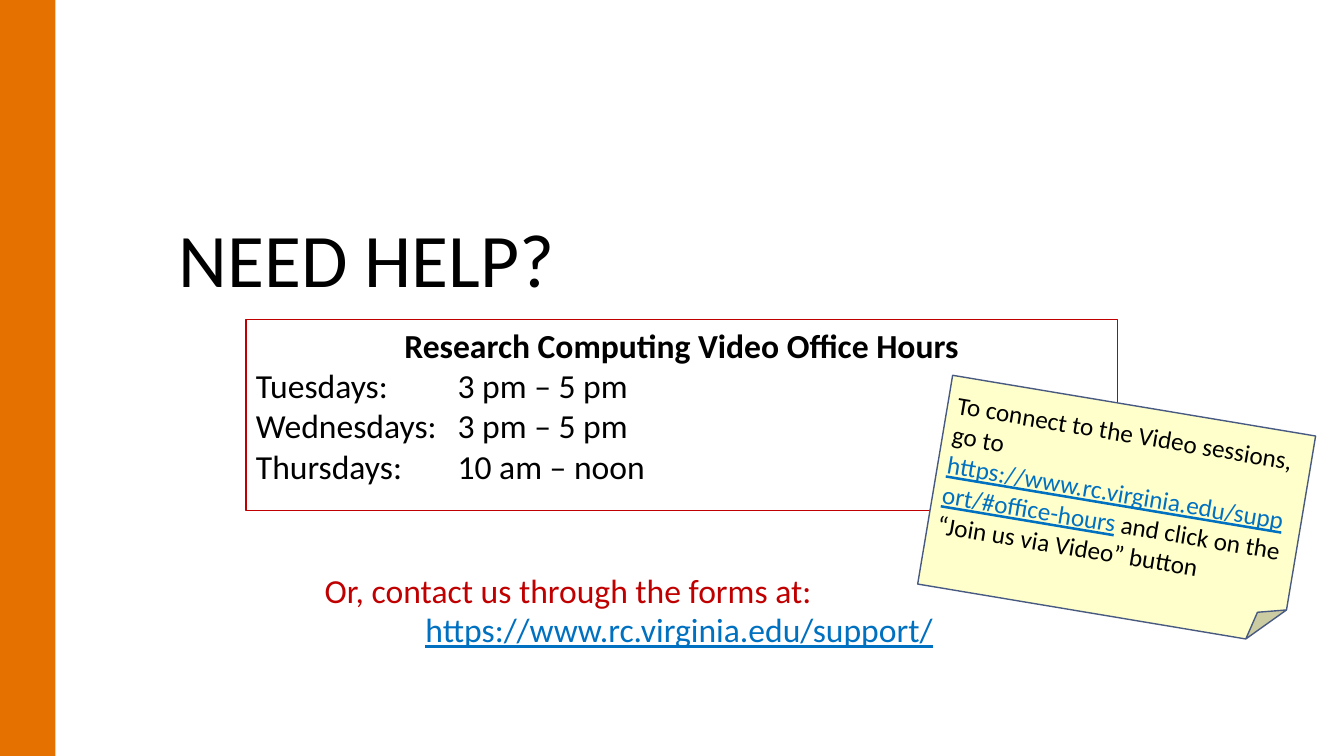
from dataclasses import dataclass

from lxml.etree import SubElement
from pptx import Presentation
from pptx.dml.color import RGBColor
from pptx.enum.shapes import MSO_SHAPE
from pptx.enum.text import MSO_ANCHOR, MSO_AUTO_SIZE, PP_ALIGN
from pptx.oxml.ns import qn
from pptx.util import Inches, Pt


@dataclass(frozen=True)
class Theme:
    """Colours, type sizes and font of the slide."""
    font: str = "Calibri"
    text: str = "000000"
    accent: str = "C00000"
    link: str = "0070C0"
    strip: str = "E47100"
    paper: str = "FFFFCC"
    paper_edge: str = "485A82"
    title_size: int = 54
    body_size: int = 24
    note_size: int = 18


THEME = Theme()
OFFICE_HOURS = [
    ("Tuesdays:", "3 pm – 5 pm"),
    ("Wednesdays:", "3 pm – 5 pm"),
    ("Thursdays:", "10 am – noon"),
]


def set_font(font, size, color, bold=False, underline=False):
    """Apply the slide's font with the given size and colour."""
    font.name = THEME.font
    font.size = Pt(size)
    font.bold = bold
    font.underline = underline
    font.color.rgb = RGBColor.from_string(color)


def add_panel(slide, preset, box, fill=None, edge=None, edge_width=0.75):
    """Add a flat preset shape with optional fill and outline."""
    panel = slide.shapes.add_shape(preset, *map(Inches, box))
    panel.shadow.inherit = False
    if fill:
        panel.fill.solid()
        panel.fill.fore_color.rgb = RGBColor.from_string(fill)
    else:
        panel.fill.background()
    if edge:
        panel.line.color.rgb = RGBColor.from_string(edge)
        panel.line.width = Pt(edge_width)
    else:
        panel.line.fill.background()
    return panel


def place(placeholder, box, anchor):
    """Move a placeholder and return its cleared text frame."""
    placeholder.left, placeholder.top, placeholder.width, placeholder.height = map(Inches, box)
    frame = placeholder.text_frame
    frame.auto_size = MSO_AUTO_SIZE.NONE
    frame.vertical_anchor = anchor
    return frame


def add_title(slide):
    """Fill the title placeholder."""
    heading = place(slide.shapes.title, (1.67, 1.02, 10, 2.04), MSO_ANCHOR.BOTTOM).paragraphs[0]
    heading.text = "NEED HELP?"
    heading.alignment = PP_ALIGN.LEFT
    heading.line_spacing = 0.9
    set_font(heading.font, THEME.title_size, THEME.text)


def add_contact(slide):
    """Fill the subtitle placeholder with the contact lines."""
    frame = place(slide.placeholders[1], (2.62, 5.28, 8.45, 1.27), MSO_ANCHOR.TOP)
    frame.margin_top = Inches(0.42)
    lines = [
        ("Or, contact us through the forms at:", 0.5, 0, THEME.accent, False),
        ("https://www.rc.virginia.edu/support/", 1.5, 2.2, THEME.link, True),
    ]
    frame.text = "\n".join(line[0] for line in lines)
    for paragraph, (_, indent, gap, color, underline) in zip(frame.paragraphs, lines):
        paragraph.alignment = PP_ALIGN.LEFT
        paragraph.line_spacing = 0.9
        paragraph.space_before = Pt(gap)
        properties = paragraph._p.get_or_add_pPr()
        properties.set("marL", str(Inches(indent)))
        properties.set("indent", "0")
        SubElement(properties, qn("a:buNone"))
        set_font(paragraph.font, THEME.body_size, color, underline=underline)


def add_office_hours(slide):
    """Add the outlined box of weekly office hours."""
    frame = add_panel(slide, MSO_SHAPE.RECTANGLE, (2.44, 3.17, 8.64, 1.89),
                      edge=THEME.accent).text_frame
    frame.word_wrap = True
    frame.vertical_anchor = MSO_ANCHOR.TOP
    heading = frame.paragraphs[0]
    heading.text = "Research Computing Video Office Hours"
    heading.alignment = PP_ALIGN.CENTER
    set_font(heading.font, THEME.body_size, THEME.text, bold=True)
    for day, hours in OFFICE_HOURS:
        entry = frame.add_paragraph()
        entry.text = f"{day}\t{hours}"
        entry.alignment = PP_ALIGN.LEFT
        tabs = SubElement(entry._p.get_or_add_pPr(), qn("a:tabLst"))
        SubElement(tabs, qn("a:tab"), pos=str(Inches(2)), algn="l")
        set_font(entry.font, THEME.body_size, THEME.text)


def add_sticky_note(slide):
    """Add the tilted note on how to join a session."""
    note = add_panel(slide, MSO_SHAPE.FOLDED_CORNER, (9.25, 4.01, 3.65, 2.1),
                     THEME.paper, THEME.paper_edge, 1)
    note.rotation = 9.5
    note.text_frame.word_wrap = True
    note.text_frame.vertical_anchor = MSO_ANCHOR.MIDDLE
    directions = note.text_frame.paragraphs[0]
    directions.alignment = PP_ALIGN.LEFT
    for words, is_link in [
        ("To connect to the Video sessions, go to ", False),
        ("https://www.rc.virginia.edu/support/#office-hours", True),
        (" and click on the “Join us via Video” button", False),
    ]:
        run = directions.add_run()
        run.text = words
        set_font(run.font, THEME.note_size, THEME.link if is_link else THEME.text,
                 underline=is_link)


def main():
    """Build and save the slide."""
    deck = Presentation()
    deck.slide_width, deck.slide_height = Inches(13.33), Inches(7.5)
    slide = deck.slides.add_slide(deck.slide_layouts[0])
    add_panel(slide, MSO_SHAPE.RECTANGLE, (0, 0, 0.55, 7.5), THEME.strip)
    add_office_hours(slide)
    add_contact(slide)
    add_title(slide)
    add_sticky_note(slide)
    deck.save("out.pptx")


if __name__ == "__main__":
    main()
